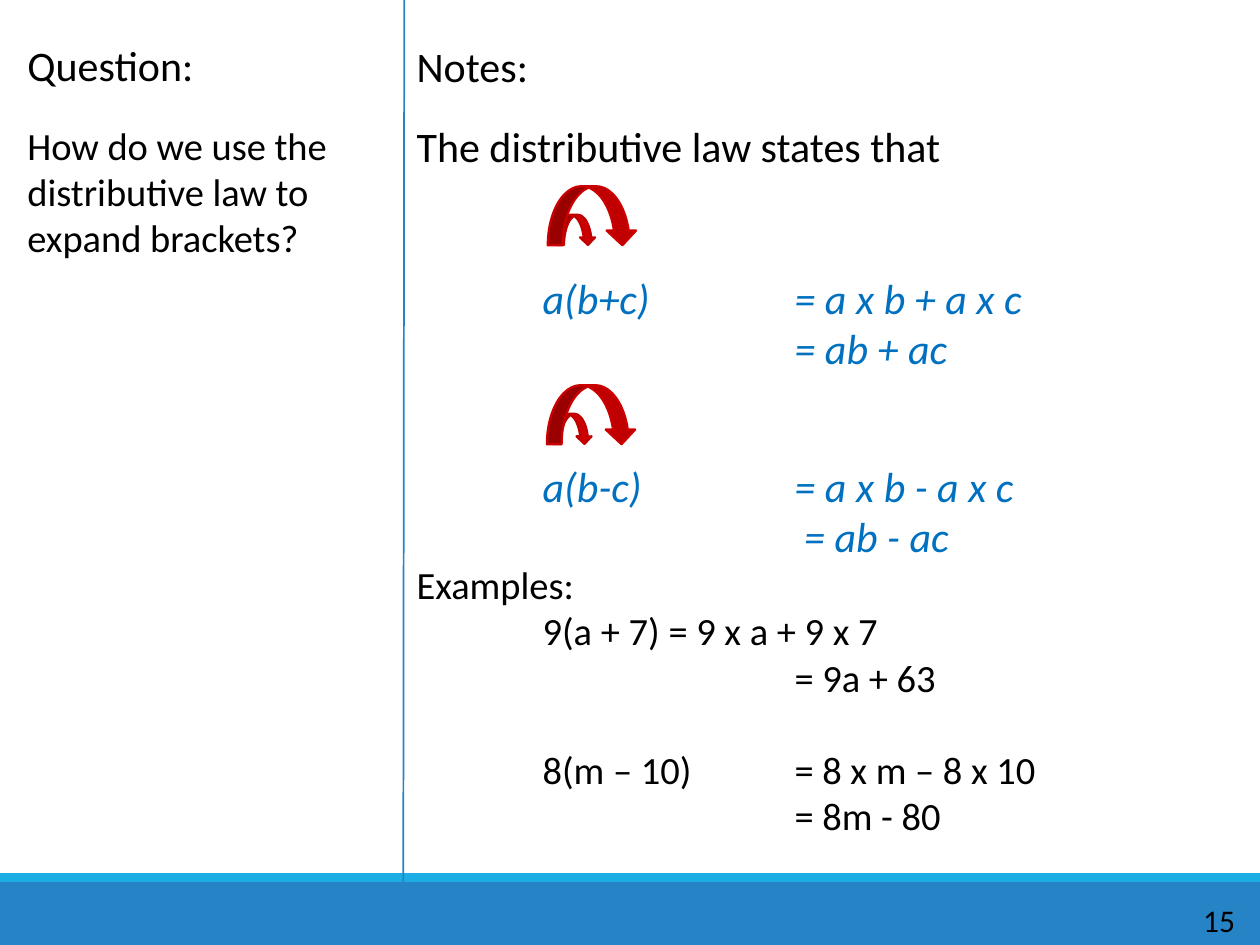
import pptx
import pptx.util
import pptx.dml.color
import pptx.enum.shapes
import pptx.enum.text
import pptx.oxml.ns
import lxml.etree

Pt = pptx.util.Pt
KIND = pptx.enum.shapes.MSO_SHAPE
BLUE = "2683C6"
TABS = (72, 144, 216)
LAW = {"color": "0070C0", "italic": True}
NOTE = {"size": 22}


def tint(code):
    return pptx.dml.color.RGBColor.from_string(code)


def add_node(parent, tag, **attrs):
    return lxml.etree.SubElement(parent, pptx.oxml.ns.qn(tag), **attrs)


def add_para(frame, text, first=False, size=24, color="000000", italic=False, gap=0):
    para = frame.paragraphs[0] if first else frame.add_paragraph()
    if gap:
        para.space_before = Pt(gap)
    if "\t" in text:
        stops = add_node(para._p.get_or_add_pPr(), "a:tabLst")
        for stop in TABS:
            add_node(stops, "a:tab", pos=str(int(Pt(stop))), algn="l")
    run = para.add_run()
    run.text = text
    font = run.font
    font.name, font.size, font.italic = "Calibri", Pt(size), italic
    font.color.rgb = tint(color)


def add_text(slide, box, lines):
    """Each line is a pair: its text and its format."""
    frame = slide.shapes.add_textbox(*map(Pt, box)).text_frame
    frame.word_wrap = True
    frame.auto_size = pptx.enum.text.MSO_AUTO_SIZE.SHAPE_TO_FIT_TEXT
    for i, (text, form) in enumerate(lines):
        add_para(frame, text, first=i == 0, **form)


def add_form(slide, kind, box, fill, line=None):
    shape = slide.shapes.add_shape(kind, *map(Pt, box))
    shape.shadow.inherit = False
    shape.fill.solid()
    shape.fill.fore_color.rgb = tint(fill)
    if line:
        shape.line.color.rgb = tint(line)
        shape.line.width = Pt(1.25)
    else:
        shape.line.fill.background()


def add_frame(slide, left, top, width, height):
    # Footer bands
    add_form(slide, KIND.RECTANGLE, (left, top + height - 36, width, 36), BLUE)
    add_form(slide, KIND.RECTANGLE, (left, top + height - 41, width, 5), "1CADE4")
    # Column divider
    rule = slide.shapes.add_connector(
        pptx.enum.shapes.MSO_CONNECTOR.STRAIGHT,
        Pt(left + 231), Pt(top), Pt(left + 230.4), Pt(top + height))
    rule.line.color.rgb = tint(BLUE)
    rule.line.width = Pt(1)
    add_node(rule._element.spPr, "a:effectLst")
    # Page number
    add_text(slide, (left + width - 39.6, top + height - 28.8, 39.6, 28.8),
             [("15", {"size": 18})])


def add_query(slide, left, top, width):
    add_text(slide, (left, top, width, 36), [("Question:", {})])
    add_text(slide, (left, top + 47, width - 20, 87),
             [("How do we use the distributive law to expand brackets?", NOTE)])


def add_arcs(slide, left, top, inset):
    """A small arc nested in a large one, on a shared base."""
    add_form(slide, KIND.CURVED_DOWN_ARROW,
             (left + inset, top + 16.3, 22.3, 17.3), "CC0000", "C00000")
    add_form(slide, KIND.CURVED_DOWN_ARROW,
             (left, top, 51.1, 33.8), "C00000", "CC0000")


def add_notes(slide, left, top, width, height):
    add_text(slide, (left, top, width, height), [
        ("Notes:", {}),
        ("The distributive law states that", {"gap": 17}),
        ("\ta(b+c)\t\t= a x b + a x c", {**LAW, "gap": 58}),
        ("\t\t\t= ab + ac", LAW),
        ("\ta(b-c)\t\t= a x b - a x c", {**LAW, "gap": 50}),
        ("\t\t\t = ab - ac", LAW),
        ("Examples:", NOTE),
        ("\t9(a + 7) \t= 9 x a + 9 x 7", NOTE),
        ("\t\t\t= 9a + 63", NOTE),
        ("\t8(m – 10)\t= 8 x m – 8 x 10", {**NOTE, "gap": 26.5}),
        ("\t\t\t= 8m - 80", NOTE),
    ])
    # Arcs above the two laws
    add_arcs(slide, left + 82, top + 87, 5)
    add_arcs(slide, left + 81.5, top + 200.7, 3.5)


def main():
    deck = pptx.Presentation()
    deck.slide_width, deck.slide_height = Pt(720), Pt(540)
    slide = deck.slides.add_slide(deck.slide_layouts[6])
    add_frame(slide, 0, 0, 720, 540)
    add_query(slide, 8.6, 19, 229.7)
    add_notes(slide, 231, 19.4, 424, 509)
    deck.save("out.pptx")


if __name__ == "__main__":
    main()
